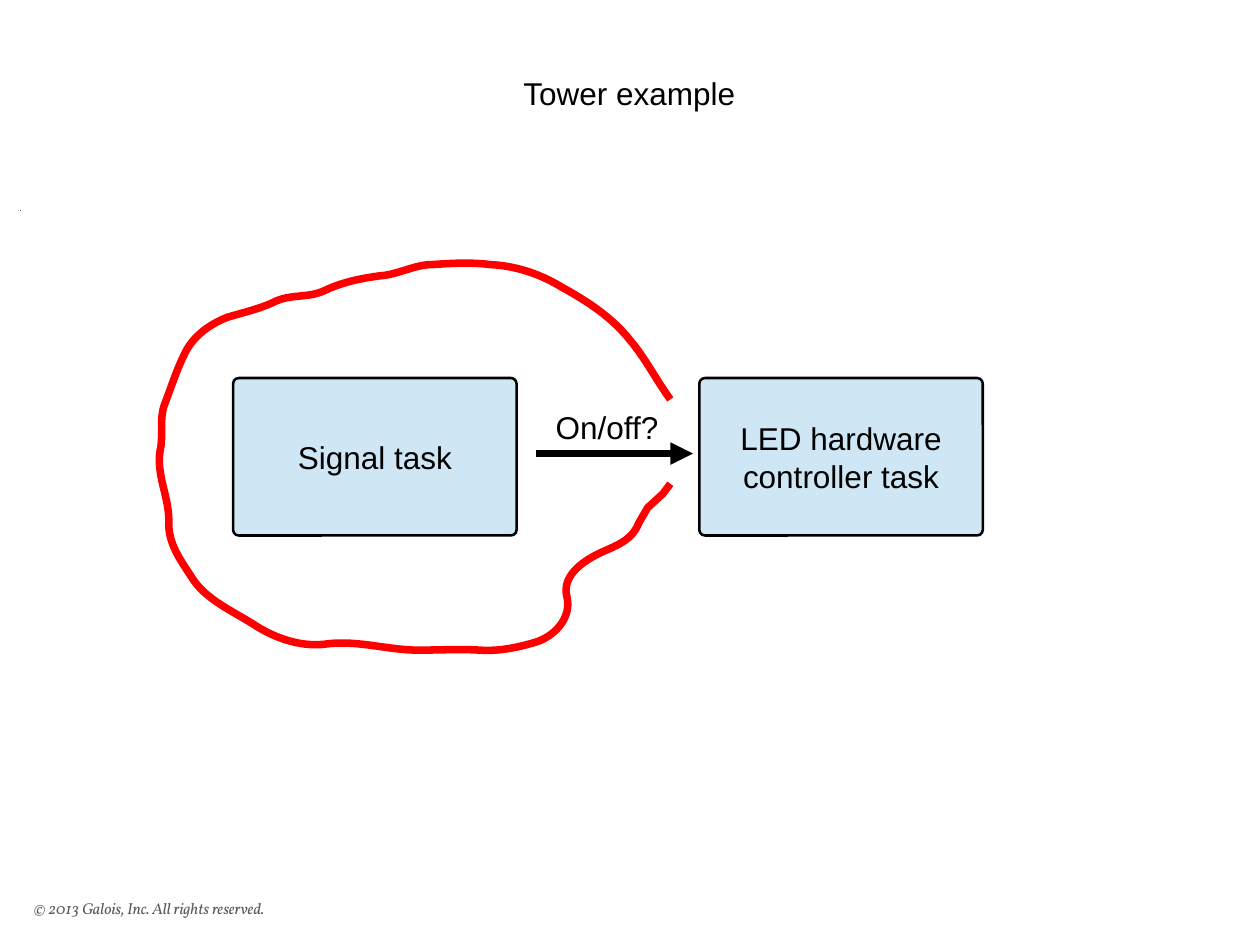
from dataclasses import dataclass

from lxml import etree
from pptx import Presentation
from pptx.dml.color import RGBColor
from pptx.enum.shapes import MSO_CONNECTOR, MSO_SHAPE
from pptx.enum.text import MSO_ANCHOR, PP_ALIGN
from pptx.oxml.ns import qn
from pptx.util import Pt

PX = 9144
ROUND = MSO_SHAPE.ROUNDED_RECTANGLE
LINE = MSO_CONNECTOR.STRAIGHT
TOP, MIDDLE = MSO_ANCHOR.TOP, MSO_ANCHOR.MIDDLE
LEFT, CENTER = PP_ALIGN.LEFT, PP_ALIGN.CENTER


@dataclass(frozen=True)
class Theme:
    ink: str = "000000"
    box: str = "CFE7F5"
    loop: str = "FF0000"
    note: str = "5C5C5C"
    dot: str = "4F4F4F"
    font: str = "Arial"
    serif: str = "Vollkorn"
    body: int = 18
    small: int = 9
    thin: float = 0.75
    edge: float = 1.45
    bold: float = 4.31


THEME = Theme()

START = (532, 317)
CURVES = [
    (521, 302), (512, 284), (500, 270), (486, 252), (466, 239), (446, 228),
    (428, 217), (409, 211), (389, 210), (373, 208), (358, 209), (343, 210),
    (329, 210), (316, 218), (301, 219), (286, 221), (272, 224), (259, 230),
    (245, 237), (233, 233), (219, 239), (207, 245), (193, 248), (180, 252),
    (165, 258), (152, 268), (146, 282), (140, 294), (136, 307), (131, 320),
    (126, 332), (130, 345), (127, 358), (124, 377), (134, 394), (134, 413),
    (133, 431), (143, 444), (152, 458), (163, 476), (185, 485), (202, 496),
    (219, 507), (240, 514), (260, 511), (284, 508), (308, 516), (332, 516),
    (348, 516), (365, 515), (381, 516), (396, 517), (410, 514), (424, 510),
    (439, 506), (454, 491), (450, 474), (446, 459), (459, 448), (472, 441),
    (485, 434), (501, 431), (507, 415),
]
TAIL = [(514, 403), (526, 392), (532, 384)]


def px(*vals):
    return [val * PX for val in vals]


def stroke(line, color, width):
    line.color.rgb = RGBColor.from_string(color)
    line.width = Pt(width)


def write(shape, lines, inset, anchor=MIDDLE, align=CENTER,
          size=THEME.body, font=THEME.font, color=THEME.ink, italic=None):
    frame = shape.text_frame
    frame.word_wrap = False
    frame.vertical_anchor = anchor
    frame.margin_left = frame.margin_right = inset[0] * PX
    frame.margin_top = frame.margin_bottom = inset[1] * PX
    for i, text in enumerate(lines):
        para = frame.add_paragraph() if i else frame.paragraphs[0]
        para.alignment = align
        run = para.add_run()
        run.text = text
        run.font.size = Pt(size)
        run.font.name = font
        run.font.italic = italic
        run.font.color.rgb = RGBColor.from_string(color)


def label(slide, place, text, inset, **style):
    write(slide.shapes.add_textbox(*px(*place)), [text], inset, **style)


def task(slide, left, lines):
    box = slide.shapes.add_shape(ROUND, *px(left, 300, 225, 125))
    box.adjustments[0] = 0.036
    box.shadow.inherit = False
    box.fill.solid()
    box.fill.fore_color.rgb = RGBColor.from_string(THEME.box)
    stroke(box.line, THEME.ink, THEME.edge)
    write(box, lines, (11, 6))


def rule(slide, ends, color, width, head=False):
    link = slide.shapes.add_connector(LINE, *px(*ends))
    stroke(link.line, color, width)
    props = link._element.spPr
    if head:
        etree.SubElement(props.find(qn("a:ln")), qn("a:tailEnd"),
                         type="triangle")
    etree.SubElement(props, qn("a:effectLst"))


def loop(slide):
    pen = slide.shapes.build_freeform(*START, scale=PX)
    pen.add_line_segments(CURVES + TAIL, close=False)
    shape = pen.convert_to_shape()
    shape.shadow.inherit = False
    shape.fill.background()
    stroke(shape.line, THEME.loop, THEME.bold)
    steps = list(shape._element.iter(qn("a:lnTo")))[:len(CURVES)]
    for i in range(0, len(steps), 3):
        trio = steps[i:i + 3]
        curve = etree.Element(qn("a:cubicBezTo"))
        trio[0].addprevious(curve)
        for step in trio:
            curve.append(step[0])
            step.getparent().remove(step)


def main():
    deck = Presentation()
    deck.slide_width, deck.slide_height = px(1000, 750)
    slide = deck.slides.add_slide(deck.slide_layouts[6])
    label(slide, (17, 704, 375, 33), "© 2013 Galois, Inc. All rights reserved.",
          (10, 5), align=LEFT, size=THEME.small, font=THEME.serif,
          color=THEME.note, italic=True)
    rule(slide, (16, 167, 17, 167), THEME.dot, THEME.thin)
    label(slide, (33, 25, 933, 98), "Tower example", (0, 0))
    task(slide, 185, ["Signal task"])
    task(slide, 555, ["LED hardware", "controller task"])
    rule(slide, (425, 360, 550, 360), THEME.ink, THEME.bold, head=True)
    label(slide, (428, 316, 112, 44), "On/off?", (13, 8),
          anchor=TOP, align=LEFT)
    loop(slide)
    deck.save("out.pptx")


if __name__ == "__main__":
    main()
